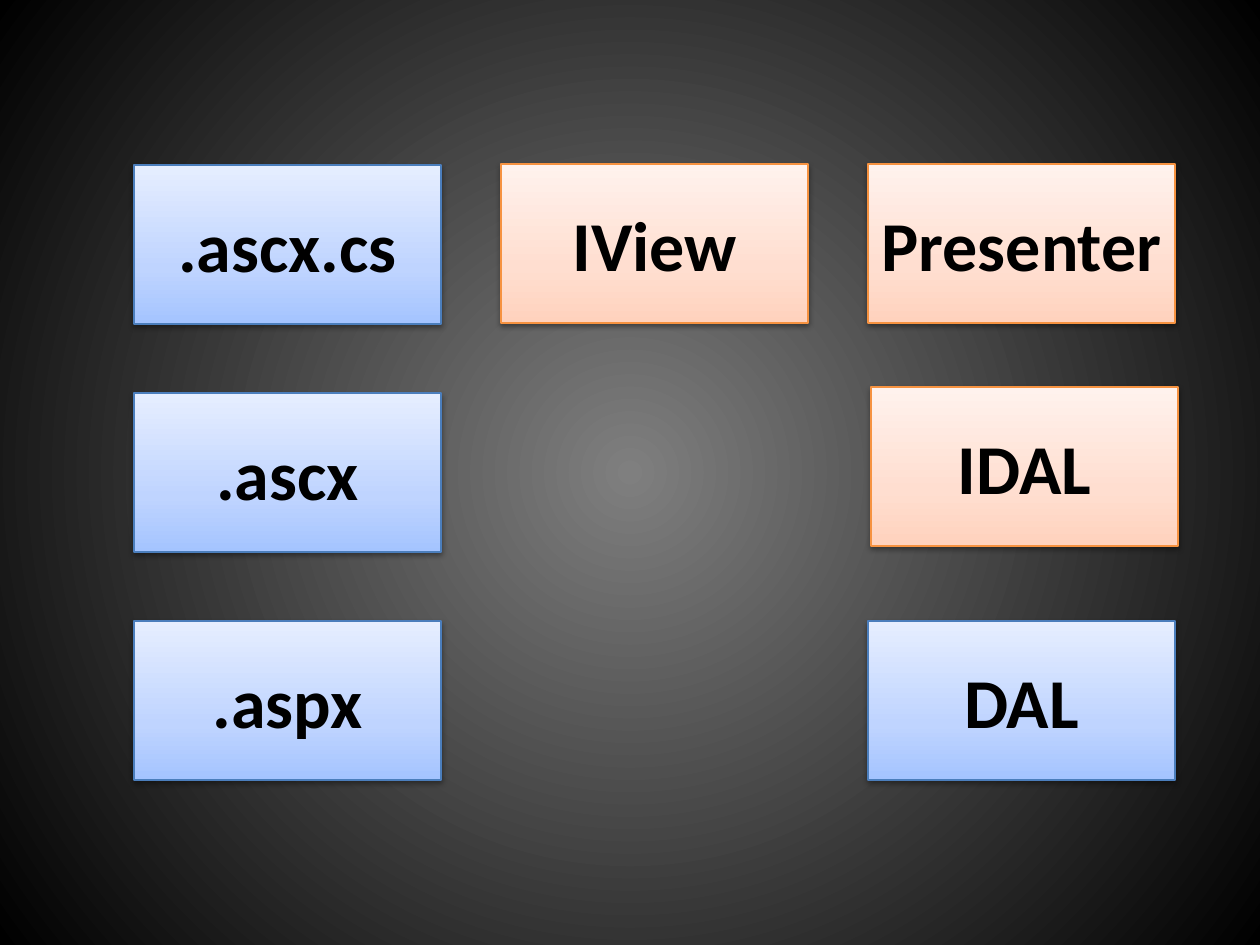
from dataclasses import dataclass

from lxml.etree import SubElement
from pptx import Presentation
from pptx.dml.color import RGBColor
from pptx.enum.shapes import MSO_SHAPE
from pptx.enum.text import PP_ALIGN
from pptx.oxml import parse_xml
from pptx.oxml.ns import nsdecls, qn
from pptx.util import Pt

PX = 914400 // 126
LEFT, TOP = 134, 165
COL_STEP, ROW_STEP = 367, 228
BOX_W, BOX_H = 307, 159

COLORS = {
    "text": "000000",
    "shadow": "000000",
    "blue_line": "4B7EBC",
    "orange_line": "F69240",
}
GRADIENTS = {
    "blue": ((0, "A4C4FF"), (35, "BFD4FF"), (100, "E6EEFF")),
    "orange": ((0, "FFD2BD"), (35, "FFDED0"), (100, "FFF2ED")),
    "backdrop": ((0, "7F7F7F"), (100, "000000")),
}
UPWARD = '<a:lin ang="16200000" scaled="0"/>'
CIRCLE = '<a:path path="circle"><a:fillToRect l="50000" t="50000" r="50000" b="50000"/></a:path>'
FONT = {"name": "Calibri", "size": Pt(40), "bold": True}


@dataclass
class Layer:
    label: str
    col: int
    row: int
    theme: str
    dx: int = 0
    dy: int = 0


LAYERS = [
    Layer(".aspx", 0, 2, "blue"),
    Layer(".ascx", 0, 1, "blue"),
    Layer(".ascx.cs", 0, 0, "blue"),
    Layer("IView", 1, 0, "orange", dy=-1),
    Layer("Presenter", 2, 0, "orange", dy=-1),
    Layer("IDAL", 2, 1, "orange", dx=3, dy=-6),
    Layer("DAL", 2, 2, "blue"),
]


def set_gradient(fill, parent, name: str, direction: str) -> None:
    fill.solid()
    stops = "".join(
        f'<a:gs pos="{pos * 1000}"><a:srgbClr val="{color}"/></a:gs>'
        for pos, color in GRADIENTS[name]
    )
    grad = parse_xml(
        f'<a:gradFill {nsdecls("a")} rotWithShape="1"><a:gsLst>{stops}</a:gsLst>{direction}</a:gradFill>'
    )
    parent.replace(parent.find(qn("a:solidFill")), grad)


def add_shadow(sp) -> None:
    sp.shadow.inherit = False
    effects = sp.element.spPr.find(qn("a:effectLst"))
    shadow = SubElement(effects, qn("a:outerShdw"), blurRad="40000", dist="20000",
                        dir="5400000", rotWithShape="0")
    color = SubElement(shadow, qn("a:srgbClr"), val=COLORS["shadow"])
    SubElement(color, qn("a:alpha"), val="38000")


def add_layer(s, layer: Layer) -> None:
    left = LEFT + layer.col * COL_STEP + layer.dx
    top = TOP + layer.row * ROW_STEP + layer.dy
    sp = s.shapes.add_shape(MSO_SHAPE.RECTANGLE, *(v * PX for v in (left, top, BOX_W, BOX_H)))
    set_gradient(sp.fill, sp.element.spPr, layer.theme, UPWARD)
    sp.line.color.rgb = RGBColor.from_string(COLORS[f"{layer.theme}_line"])
    sp.line.width = Pt(0.75)
    add_shadow(sp)
    p = sp.text_frame.paragraphs[0]
    p.alignment = PP_ALIGN.CENTER
    r = p.add_run()
    r.text = layer.label
    for key, value in FONT.items():
        setattr(r.font, key, value)
    r.font.color.rgb = RGBColor.from_string(COLORS["text"])


prs = Presentation()
prs.slide_width, prs.slide_height = 1260 * PX, 945 * PX
s = prs.slides.add_slide(prs.slide_layouts[6])
set_gradient(s.background.fill, s.element.find(f".//{qn('p:bgPr')}"), "backdrop", CIRCLE)
for layer in LAYERS:
    add_layer(s, layer)
prs.save("out.pptx")
